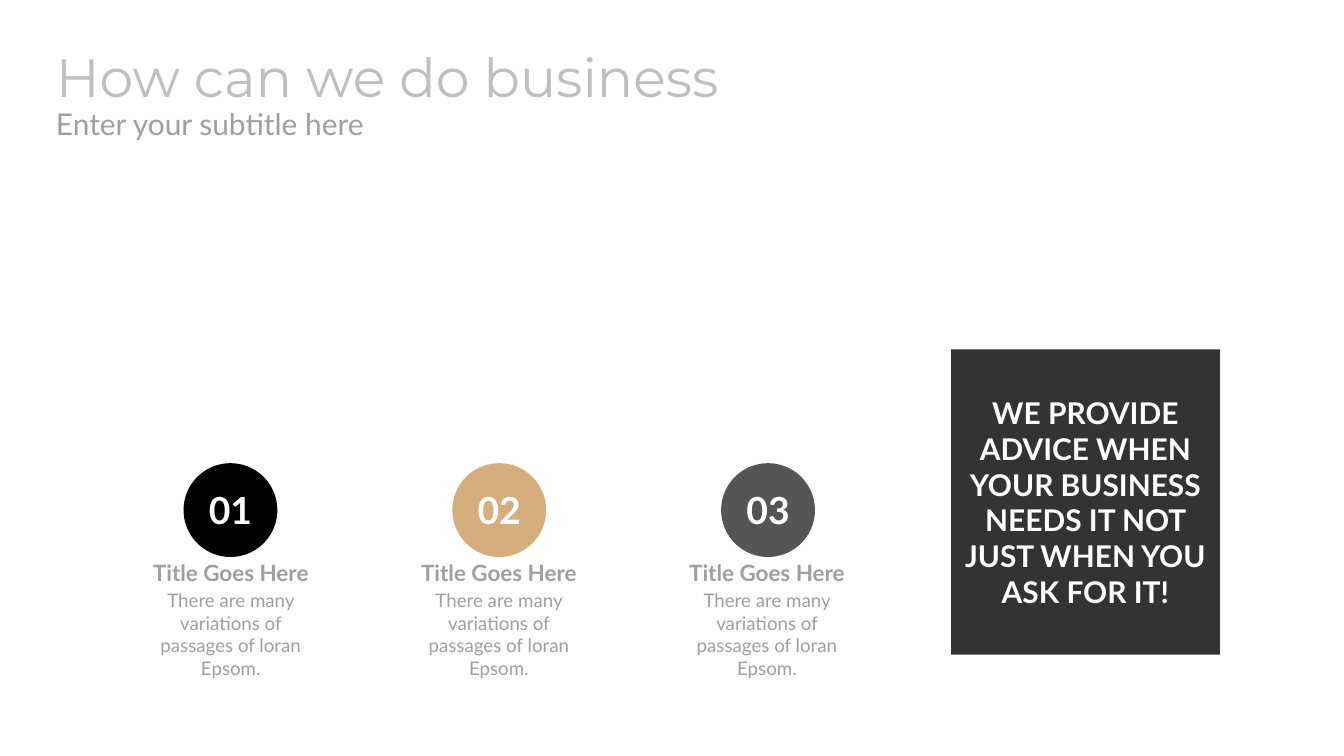
"""Build the business steps slide."""
import pptx
import pptx.dml.color
import pptx.enum.shapes
import pptx.enum.text
import pptx.oxml
import pptx.oxml.ns
import pptx.util
from lxml import etree

Pt = pptx.util.Pt
ALIGN = pptx.enum.text.PP_ALIGN
ANCHOR = pptx.enum.text.MSO_ANCHOR
SHAPES = pptx.enum.shapes.MSO_SHAPE
GREY = "9F9F9F"
WHITE = "FFFFFF"
STEPS = [("01", "000000"), ("02", "D6AE7E"), ("03", "545557")]
STEP_TITLE = "Title Goes Here"
STEP_BODY = "There are many variations of passages of loran Epsom."
ADVICE = "WE PROVIDE ADVICE WHEN YOUR BUSINESS NEEDS IT NOT JUST WHEN YOU ASK FOR IT!"


def set_color(color_format, value):
    """Apply a hex colour to a font or a solid fill."""
    color_format.rgb = pptx.dml.color.RGBColor.from_string(value)


def style(paragraph, size, color, bold=False, name="Lato", align=ALIGN.CENTER):
    """Set the alignment and font of a paragraph."""
    paragraph.alignment = align
    paragraph.font.name = name
    paragraph.font.size = Pt(size)
    paragraph.font.bold = bold
    set_color(paragraph.font.color, color)


def set_margins(frame, left, top, right, bottom):
    """Set the inner margins of a text frame."""
    frame.margin_left, frame.margin_top = Pt(left), Pt(top)
    frame.margin_right, frame.margin_bottom = Pt(right), Pt(bottom)


def fill_placeholder(placeholder, text, top, height):
    """Place a heading placeholder, write its text and return its paragraph."""
    placeholder.left, placeholder.top = Pt(80), Pt(top)
    placeholder.width, placeholder.height = Pt(1757), Pt(height)
    frame = placeholder.text_frame
    frame.text = text
    frame.auto_size = pptx.enum.text.MSO_AUTO_SIZE.NONE
    frame.vertical_anchor = ANCHOR.MIDDLE
    return frame.paragraphs[0]


def add_headings(slide):
    """Write the title and the subtitle."""
    title = fill_placeholder(slide.shapes.title, "How can we do business", 70.5, 75)
    set_margins(slide.shapes.title.text_frame, 0, 3.6, 7.2, 3.6)
    style(title, 76.8, "BFBFBF", name="Montserrat", align=ALIGN.LEFT)

    body = slide.placeholders[1]
    subtitle = fill_placeholder(body, "Enter your subtitle here", 162, 36.7)
    set_margins(body.text_frame, 0, 0, 0, 0)
    body.text_frame.word_wrap = False
    properties = subtitle._p.get_or_add_pPr()
    properties.set("marL", "0")
    properties.set("indent", "0")
    etree.SubElement(properties, pptx.oxml.ns.qn("a:buNone"))
    style(subtitle, 42.7, GREY, align=ALIGN.LEFT)
    subtitle.line_spacing = 0.9
    subtitle.space_before = Pt(0)


def add_panel(slide, kind, box, color, text, size):
    """Add a filled shape with bold white text."""
    panel = slide.shapes.add_shape(kind, *map(Pt, box))
    panel.shadow.inherit = False
    panel.fill.solid()
    set_color(panel.fill.fore_color, color)
    panel.line.fill.background()
    panel.text_frame.text = text
    panel.text_frame.word_wrap = True
    panel.text_frame.vertical_anchor = ANCHOR.MIDDLE
    style(panel.text_frame.paragraphs[0], size, WHITE, bold=True)
    return panel


def set_opacity(shape, percent):
    """Make a solid shape fill partly transparent."""
    color = shape._element.spPr.find(".//" + pptx.oxml.ns.qn("a:srgbClr"))
    alpha = etree.SubElement(color, pptx.oxml.ns.qn("a:alpha"))
    alpha.set("val", str(percent * 1000))


def add_caption(slide, left):
    """Add the heading and description of one step."""
    caption = slide.shapes.add_textbox(Pt(left), Pt(788.4), Pt(275), Pt(193.7))
    frame = caption.text_frame
    frame.word_wrap = True
    frame.auto_size = pptx.enum.text.MSO_AUTO_SIZE.SHAPE_TO_FIT_TEXT
    set_margins(frame, 19.2, 9.6, 19.2, 9.6)
    frame.text = f"{STEP_TITLE}\n{STEP_BODY}"
    heading, description = frame.paragraphs
    style(heading, 32, GREY, bold=True)
    style(description, 26.7, GREY)
    description.space_before = Pt(5.3)


def main():
    """Build and save the slide."""
    presentation = pptx.Presentation()
    presentation.slide_width, presentation.slide_height = Pt(1920), Pt(1080)
    slide = presentation.slides.add_slide(presentation.slide_layouts[1])
    add_headings(slide)
    for index, (number, color) in enumerate(STEPS):
        circle = (262.2 + 384 * index, 661.7, 134, 134)
        add_panel(slide, SHAPES.OVAL, circle, color, number, 53.3)
        add_caption(slide, 192.2 + 383 * index)
    advice = add_panel(slide, SHAPES.RECTANGLE, (1358.6, 499, 384, 436.3), "000000", ADVICE, 42.7)
    set_opacity(advice, 80)
    presentation.save("out.pptx")


if __name__ == "__main__":
    main()
